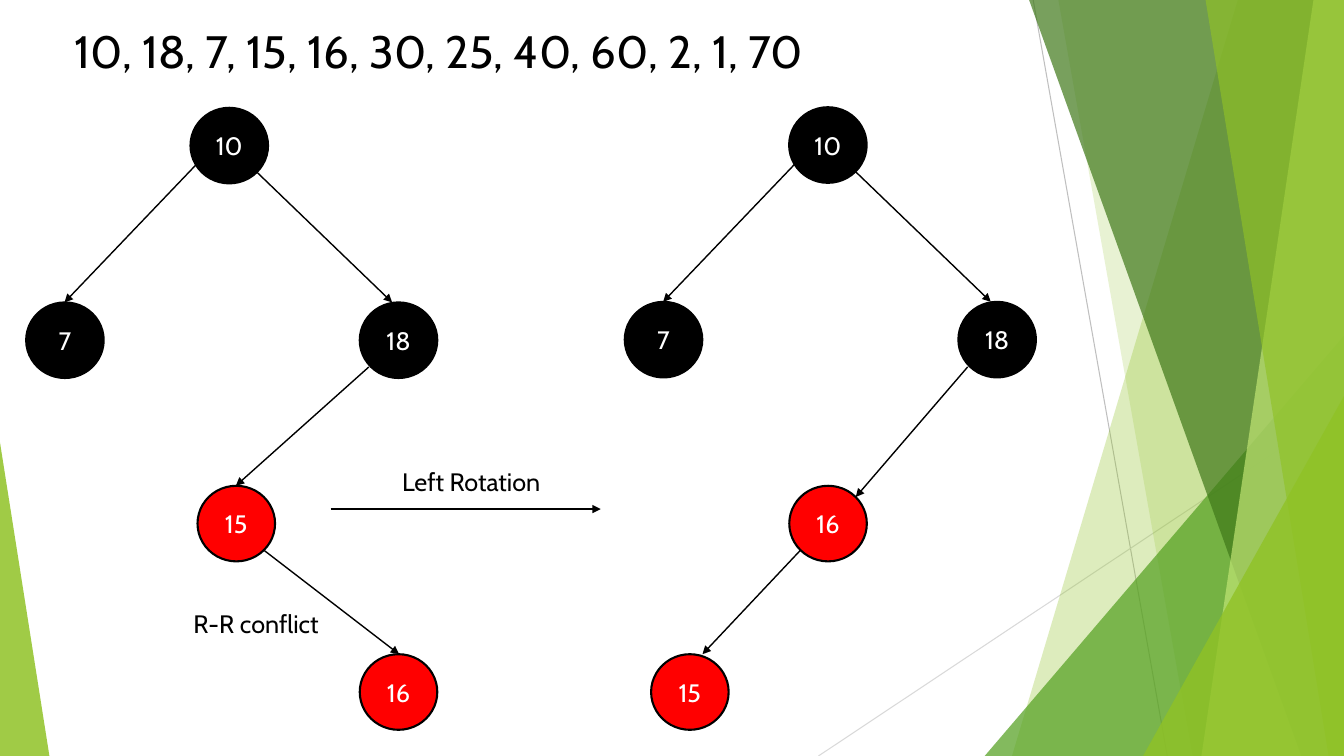
import pptx
import pptx.dml.color
import pptx.enum.shapes
import pptx.enum.text
import pptx.oxml.ns
import pptx.util
from lxml import etree

Pt = pptx.util.Pt
RGB = pptx.dml.color.RGBColor.from_string
SHAPE = pptx.enum.shapes.MSO_SHAPE
ALIGN = pptx.enum.text.PP_ALIGN
ANCHOR = pptx.enum.text.MSO_ANCHOR
qn = pptx.oxml.ns.qn

COLORS = {
    "black": "000000", "red": "FF0000", "white": "FFFFFF",
    "gray": "BFBFBF", "pale gray": "D9D9D9",
    "lime": "90C226", "green": "54A021", "forest": "3F7819", "light lime": "C0E474",
}

deck = pptx.Presentation()
deck.slide_width, deck.slide_height = Pt(960), Pt(540)
page = deck.slides.add_slide(deck.slide_layouts[6])


def draw_line(start, end, color, width, arrow=False):
    line = page.shapes.add_connector(
        pptx.enum.shapes.MSO_CONNECTOR.STRAIGHT, *map(Pt, start + end))
    line.line.color.rgb = RGB(COLORS[color])
    line.line.width = Pt(width)
    if arrow:
        etree.SubElement(line.line._get_or_add_ln(), qn("a:tailEnd"), type="triangle")
    etree.SubElement(line._element.spPr, qn("a:effectLst"))


def write(box, text, size, color, align, anchor):
    frame = box.text_frame
    frame.word_wrap = True
    frame.vertical_anchor = anchor
    para = frame.paragraphs[0]
    para.alignment = align
    span = para.add_run()
    span.text = text
    values = {"name": "Cabin", "size": Pt(size)}
    for name, value in values.items():
        setattr(span.font, name, value)
    span.font.color.rgb = RGB(COLORS[color])


# Thin background lines
draw_line((738, 0), (833.8, 540), "gray", 0.75)
draw_line((960, 290.2), (584.6, 540), "pale gray", 0.75)

# Translucent facets: bands span the page height, triangles are (left, top, width, apex)
facets = [
    ("band", (884.2, 722.9), "lime", 30),
    ("band", (756, 851.8), "lime", 20),
    ("triangle", (703.4, 239.8, 256.6, 1), "green", 72),
    ("band", (735.1, 929.5), "forest", 70),
    ("band", (938.2, 858.2), "light lime", 70),
    ("band", (861.1, 949), "lime", 65),
    ("triangle", (816.5, 283, 143.5, 1), "lime", 80),
    ("triangle", (0, 316.1, 35.3, 0), "lime", 85),
]
for kind, place, color, opacity in facets:
    if kind == "band":
        top_left, bottom_left = place
        builder = page.shapes.build_freeform(Pt(top_left), 0)
        corners = [(960, 0), (960, 540), (bottom_left, 540)]
        builder.add_line_segments([(Pt(x), Pt(y)) for x, y in corners], close=True)
        facet = builder.convert_to_shape()
    else:
        left, top, width, apex = place
        facet = page.shapes.add_shape(
            SHAPE.ISOSCELES_TRIANGLE, Pt(left), Pt(top), Pt(width), Pt(540 - top))
        facet.adjustments[0] = apex
    facet.shadow.inherit = False
    facet.line.fill.background()
    facet.fill.solid()
    facet.fill.fore_color.rgb = RGB(COLORS[color])
    tint = facet._element.spPr.find(qn("a:solidFill"))[0]
    etree.SubElement(tint, qn("a:alpha"), val=str(opacity * 1000))

# Title and labels
texts = [
    ("10, 18, 7, 15, 16, 30, 25, 40, 60, 2, 1, 70", (46.1, 13, 676.8, 44.6), 32.4),
    ("R-R conflict", (131, 430.6, 114.5, 29), 18),
    ("Left Rotation", (280.1, 329.8, 126.7, 29), 18),
]
for text, place, size in texts:
    box = page.shapes.add_textbox(*map(Pt, place))
    write(box, text, size, "black", ALIGN.LEFT, ANCHOR.TOP)

# Both trees share their upper part; the lower nodes and edges differ
upper_nodes = [("10", 136.1, 77), ("18", 257, 216), ("7", 18.7, 216)]
upper_edges = [((183.6, 123.1), (280.1, 216)), ((141.1, 116.6), (46.1, 216))]
nodes = [
    ("15", 141.1, 347, "red"), ("16", 257, 467.3, "red"),
    ("16", 563.8, 347, "red"), ("15", 465.1, 467.3, "red"),
]
edges = [
    ((263.5, 262.1), (168.5, 347)), ((188.6, 393.1), (285.1, 467.3)),
    ((691.2, 262.1), (611.3, 355)), ((571.7, 393.1), (501.8, 467.3)),
    ((236.2, 363.6), (429.1, 363.6)),  # rotation arrow
]
for dx, dy in [(0, 0), (427.6, -0.4)]:
    nodes += [(key, x + dx, y + dy, "black") for key, x, y in upper_nodes]
    edges += [((x1 + dx, y1 + dy), (x2 + dx, y2 + dy))
              for (x1, y1), (x2, y2) in upper_edges]

for key, left, top, color in nodes:
    node = page.shapes.add_shape(
        SHAPE.FLOWCHART_CONNECTOR, Pt(left), Pt(top), Pt(55.4), Pt(54))
    node.shadow.inherit = False
    node.fill.solid()
    node.fill.fore_color.rgb = RGB(COLORS[color])
    node.line.color.rgb = RGB(COLORS["black"])
    node.line.width = Pt(1.5)
    write(node, key, 18, "white", ALIGN.CENTER, ANCHOR.MIDDLE)
for start, end in edges:
    draw_line(start, end, "black", 1, arrow=True)

deck.save("out.pptx")
